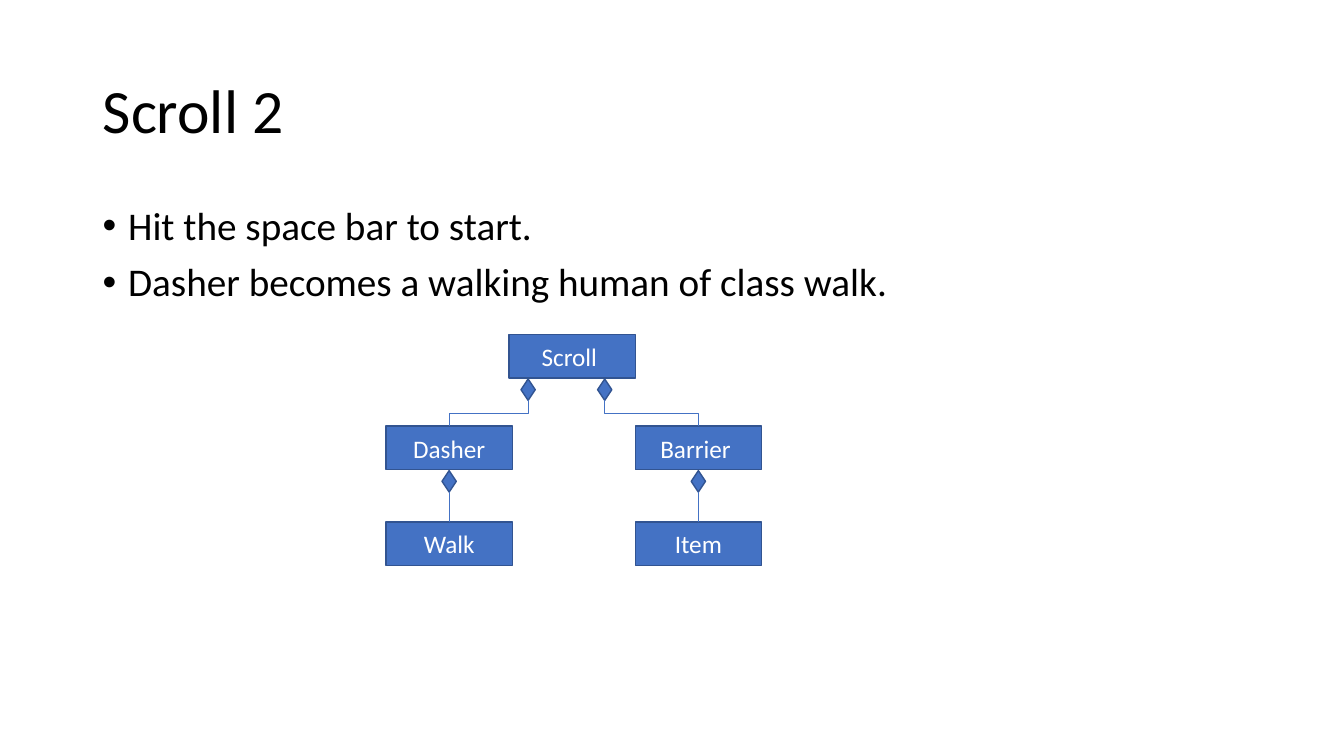
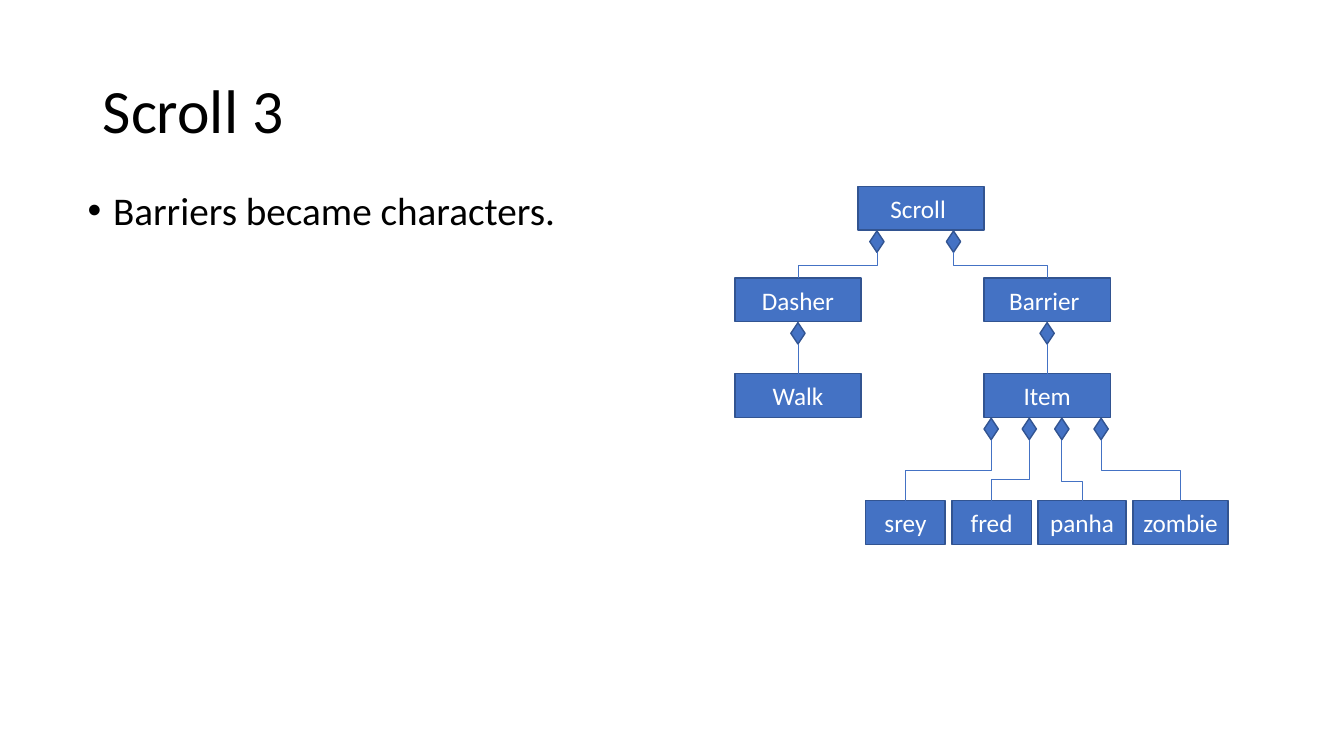
from dataclasses import dataclass
from itertools import accumulate

from pptx import Presentation
from pptx.dml.color import RGBColor
from pptx.enum.shapes import MSO_CONNECTOR, MSO_SHAPE
from pptx.enum.text import MSO_ANCHOR, PP_ALIGN
from pptx.oxml.ns import qn
from pptx.shapes.autoshape import Shape
from pptx.slide import Slide
from pptx.text.text import TextFrame
from pptx.util import Cm, Pt
from lxml.etree import SubElement


@dataclass(frozen=True)
class Theme:
    font: str = "Calibri"
    ink: RGBColor = RGBColor(0x00, 0x00, 0x00)
    light: RGBColor = RGBColor(0xFF, 0xFF, 0xFF)
    fill: RGBColor = RGBColor(0x44, 0x72, 0xC4)
    edge: RGBColor = RGBColor(0x32, 0x54, 0x91)
    title: int = 44
    body: int = 28
    label: int = 18
    border: float = 1
    link: float = 0.5


@dataclass(frozen=True)
class Box:
    left: float
    top: float
    width: float
    height: float

    @property
    def mid(self) -> float:
        return self.left + self.width / 2

    @property
    def base(self) -> float:
        return self.top + self.height

    def place(self) -> tuple[Cm, Cm, Cm, Cm]:
        return Cm(self.left), Cm(self.top), Cm(self.width), Cm(self.height)


@dataclass(frozen=True)
class Node:
    text: str
    x: float
    y: float
    width: float = 3.18
    host: str = ""
    port: float = 1.59
    bend: float = 0.5


@dataclass(frozen=True)
class Page:
    title: str
    points: list[str]
    body: Box
    tree: list[Node]
    x: float
    y: float


THEME = Theme()
TITLE = Box(2.34, 1.02, 29.21, 3.68)
NODE_H = 1.1
GEM_W, GEM_H, GEM_GAP = 0.36, 0.54, 0.02
LEAF_GAP = 0.17

CORE = [
    Node("Scroll ", 0, 0),
    Node("Dasher", -3.1, 2.31, host="Scroll ", port=0.48),
    Node("Barrier ", 3.18, 2.31, host="Scroll ", port=2.41),
    Node("Walk", -3.1, 4.72, host="Dasher"),
    Node("Item", 3.18, 4.72, host="Barrier "),
]


def make_leaves() -> list[Node]:
    specs = [
        ("srey", 2, 0.18, 0.5),
        ("fred", 2, 1.14, 0.655),
        ("panha", 2.22, 1.96, 0.682),
        ("zombie", 2.4, 2.95, 0.5),
    ]
    lefts = accumulate((width + LEAF_GAP for _, width, _, _ in specs), initial=0.2)
    return [
        Node(name, left, 7.92, width, "Item", port, bend)
        for (name, width, port, bend), left in zip(specs, lefts)
    ]


def write(frame: TextFrame, *lines: str, size: int, color: RGBColor = THEME.ink,
          align: PP_ALIGN = PP_ALIGN.LEFT, anchor: MSO_ANCHOR = MSO_ANCHOR.TOP,
          wrap: bool = True, space: float = 1, before: int = 0,
          bullet: str = "") -> None:
    frame.word_wrap = wrap
    frame.vertical_anchor = anchor
    for i, line in enumerate(lines):
        para = frame.add_paragraph() if i else frame.paragraphs[0]
        para.alignment = align
        para.line_spacing = space
        para.space_before = Pt(before)
        run = para.add_run()
        run.text = line
        run.font.name = THEME.font
        run.font.size = Pt(size)
        run.font.color.rgb = color
        if bullet:
            props = para._p.get_or_add_pPr()
            props.set("marL", str(Cm(0.64)))
            props.set("indent", str(-Cm(0.64)))
            SubElement(props, qn("a:buFont"), typeface="Arial")
            SubElement(props, qn("a:buChar"), char=bullet)


def add_block(slide: Slide, kind: MSO_SHAPE, box: Box) -> Shape:
    shape = slide.shapes.add_shape(kind, *box.place())
    shape.shadow.inherit = False
    shape.fill.solid()
    shape.fill.fore_color.rgb = THEME.fill
    shape.line.color.rgb = THEME.edge
    shape.line.width = Pt(THEME.border)
    return shape


def add_link(slide: Slide, x: float, y: float, to_x: float, to_y: float,
             bend: float) -> None:
    shift, drop = to_x - x, to_y - y
    straight = abs(shift) < 0.01
    if straight:
        kind, ends = MSO_CONNECTOR.STRAIGHT, (x, y, to_x, to_y)
    else:
        kind = MSO_CONNECTOR.ELBOW
        mid_x, mid_y = (x + to_x) / 2, (y + to_y) / 2
        half_w = drop / 2 if shift < 0 else -drop / 2
        half_h = abs(shift) / 2
        ends = (mid_x - half_w, mid_y - half_h, mid_x + half_w, mid_y + half_h)
    link = slide.shapes.add_connector(kind, *map(Cm, ends))
    link.line.color.rgb = THEME.fill
    link.line.width = Pt(THEME.link)
    props = link.element.spPr
    SubElement(props, qn("a:effectLst"))
    if not straight:
        turn = 90 if shift < 0 else 270
        props.find(qn("a:xfrm")).set("rot", str(turn * 60000))
        guides = props.find(qn("a:prstGeom")).find(qn("a:avLst"))
        SubElement(guides, qn("a:gd"), name="adj1", fmla=f"val {round(bend * 100000)}")


def draw_tree(slide: Slide, nodes: list[Node], x: float, y: float) -> None:
    boxes = {n.text: Box(x + n.x, y + n.y, n.width, NODE_H) for n in nodes}
    for node in nodes:
        box = boxes[node.text]
        shape = add_block(slide, MSO_SHAPE.RECTANGLE, box)
        write(shape.text_frame, node.text, size=THEME.label, color=THEME.light,
              align=PP_ALIGN.CENTER, anchor=MSO_ANCHOR.MIDDLE, wrap=False)
        if node.host:
            host = boxes[node.host]
            gem = Box(host.left + node.port - GEM_W / 2, host.base + GEM_GAP,
                      GEM_W, GEM_H)
            add_block(slide, MSO_SHAPE.DIAMOND, gem)
            add_link(slide, gem.mid, gem.base, box.mid, box.top, node.bend)


def draw_page(slide: Slide, page: Page) -> None:
    title = slide.shapes.add_textbox(*TITLE.place())
    write(title.text_frame, page.title, size=THEME.title,
          anchor=MSO_ANCHOR.MIDDLE, space=0.9)
    body = slide.shapes.add_textbox(*page.body.place())
    write(body.text_frame, *page.points, size=THEME.body, space=0.9,
          before=10, bullet="•")
    draw_tree(slide, page.tree, page.x, page.y)


def main() -> None:
    deck = Presentation()
    deck.slide_width, deck.slide_height = Cm(33.87), Cm(19.05)
    pages = [
        Page("Scroll 2",
             ["Hit the space bar to start.",
              "Dasher becomes a walking human of class walk."],
             Box(2.34, 5.08, 29.21, 5), CORE, 12.83, 8.43),
        Page("Scroll 3", ["Barriers became characters."],
             Box(1.96, 4.7, 29.21, 12.09), CORE + make_leaves(), 21.62, 4.7),
    ]
    for page in pages:
        draw_page(deck.slides.add_slide(deck.slide_layouts[6]), page)
    deck.save("out.pptx")


if __name__ == "__main__":
    main()
